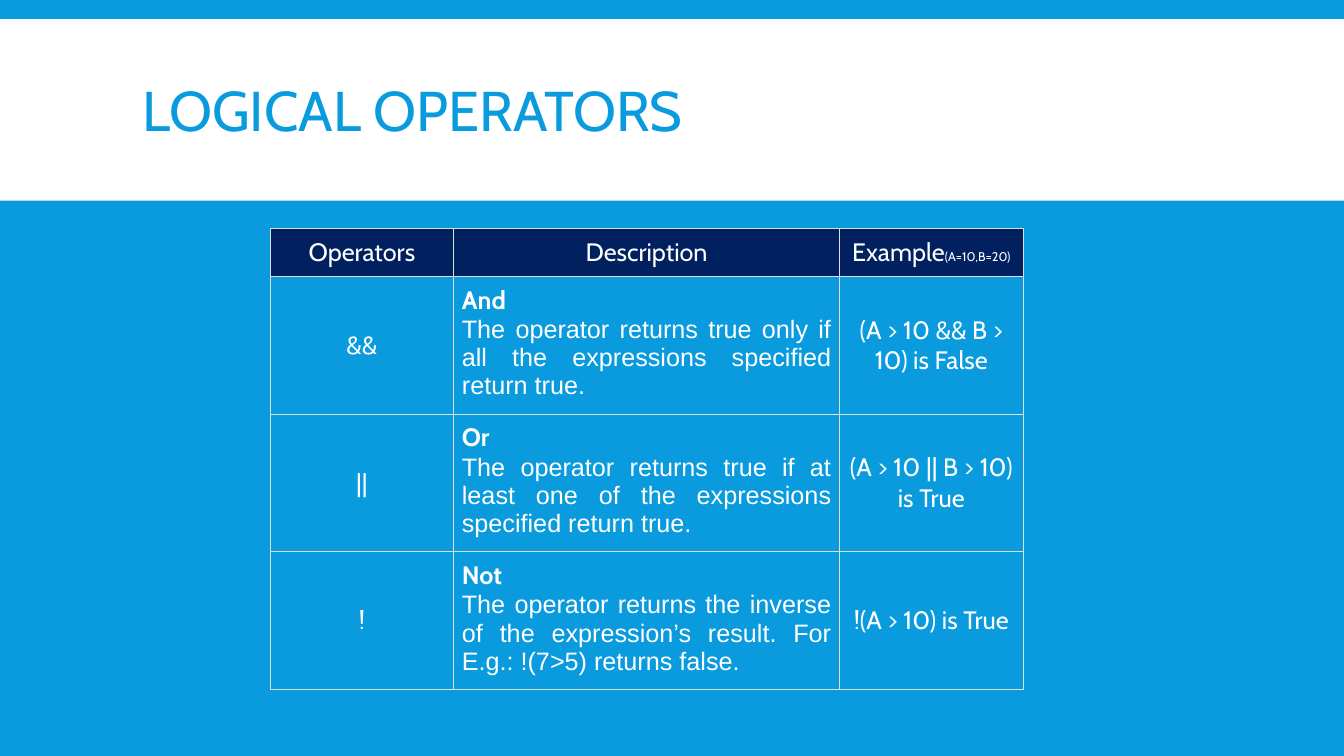
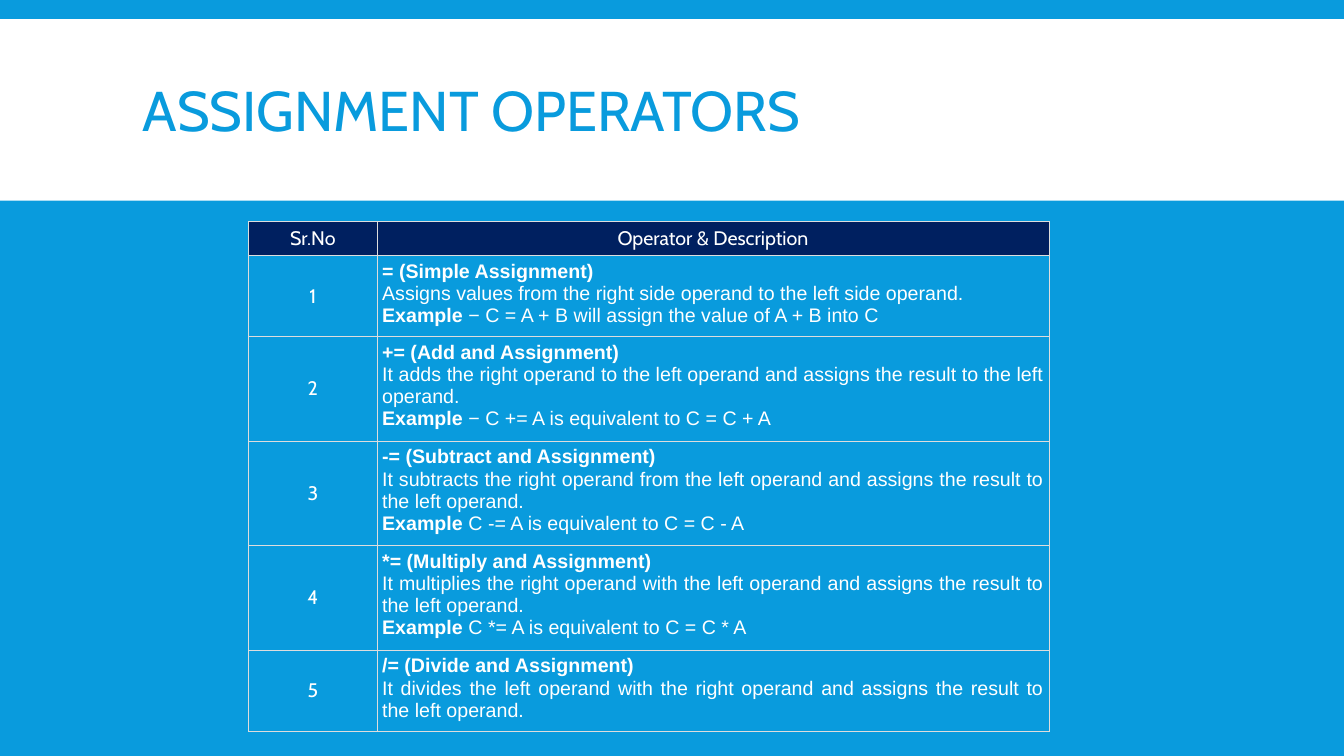
from dataclasses import dataclass
from typing import Any, Optional

from lxml.etree import SubElement
from pptx import Presentation
from pptx.dml.color import RGBColor
from pptx.enum.shapes import MSO_SHAPE
from pptx.enum.text import MSO_ANCHOR as Anchor, PP_ALIGN as Align
from pptx.oxml.ns import qn
from pptx.util import Cm, Pt

SKY, NAVY, WHITE, RULE = "099BDD", "002060", "FFFFFF", "DDDDDD"
CABIN, ARIAL = "Cabin", "Arial"
SLIDE_WIDTH, SLIDE_HEIGHT = 33.87, 19.05
BORDER_PT = 0.75


@dataclass(frozen=True)
class Words:
    """A stretch of text in one style; size falls back to the table's."""
    text: str
    font: str = CABIN
    bold: bool = False
    size: Optional[float] = None
    color: str = WHITE


@dataclass(frozen=True)
class Entry:
    """The content of one table cell, one tuple of words per paragraph."""
    paragraphs: tuple[tuple[Words, ...], ...]
    align: Any = Align.CENTER
    anchor: Any = Anchor.MIDDLE
    fill: Optional[str] = None


@dataclass(frozen=True)
class Grid:
    """A table's place and measures in cm, its text size and its rows."""
    left: float
    top: float
    widths: tuple[float, ...]
    heights: tuple[float, ...]
    inset: float
    size: float
    rows: list[list[Entry]]


def rgb(color: str) -> RGBColor:
    """Turn a hex string into a colour."""
    return RGBColor.from_string(color)


def assign(target: Any, values: dict[str, Any]) -> None:
    """Set every attribute named in values."""
    for name, value in values.items():
        setattr(target, name, value)


def paint(fill: Any, color: Optional[str]) -> None:
    """Make a fill solid, or empty when there is no colour."""
    if color is None:
        fill.background()
    else:
        fill.solid()
        fill.fore_color.rgb = rgb(color)


def write(paragraph: Any, words: Words, size: float) -> None:
    """Append styled words to a paragraph."""
    run = paragraph.add_run()
    run.text = words.text
    assign(run.font, {"name": words.font, "bold": words.bold,
                      "size": Pt(words.size or size)})
    run.font.color.rgb = rgb(words.color)


def heading(*words: Words) -> Entry:
    """Build a column heading."""
    return Entry((words,), anchor=Anchor.TOP, fill=NAVY)


def centred(text: str) -> Entry:
    """Build a short entry in the middle of its cell."""
    return Entry(((Words(text),),))


def explained(*paragraphs: tuple[Words, ...]) -> Entry:
    """Build a justified explanation."""
    return Entry(paragraphs, Align.JUSTIFY, Anchor.TOP)


def logical_row(operator: str, name: str, meaning: str, example: str) -> list[Entry]:
    """Build the row of one logical operator."""
    return [centred(operator),
            explained((Words(name, bold=True),), (Words(meaning, ARIAL),)),
            centred(example)]


def assignment_row(number: int, name: str, meaning: str, example: str = "") -> list[Entry]:
    """Build the row of one assignment operator, with its example if any."""
    lines = [(Words(name, ARIAL, True),), (Words(meaning, ARIAL),)]
    if example:
        lines.append((Words("Example", ARIAL, True),
                      Words("\u00a0" + example, ARIAL)))
    return [centred(str(number)), explained(*lines)]


def outline(cell: Any) -> None:
    """Rule all four sides of a cell."""
    properties = cell._tc.get_or_add_tcPr()
    for side in ("a:lnL", "a:lnR", "a:lnT", "a:lnB"):
        line = SubElement(properties, qn(side), w=str(int(Pt(BORDER_PT))))
        solid = SubElement(line, qn("a:solidFill"))
        SubElement(solid, qn("a:srgbClr"), val=RULE)


def fill_cell(cell: Any, entry: Entry, grid: Grid) -> None:
    """Format one cell and write its entry."""
    sides = ("margin_left", "margin_right", "margin_top", "margin_bottom")
    assign(cell, {side: Cm(grid.inset) for side in sides})
    cell.vertical_anchor = entry.anchor
    outline(cell)
    paint(cell.fill, entry.fill)
    frame = cell.text_frame
    for index, line in enumerate(entry.paragraphs):
        paragraph = frame.add_paragraph() if index else frame.paragraphs[0]
        paragraph.alignment = entry.align
        for words in line:
            write(paragraph, words, grid.size)


def draw_grid(slide: Any, grid: Grid) -> None:
    """Draw a table."""
    table = slide.shapes.add_table(
        len(grid.heights), len(grid.widths), Cm(grid.left), Cm(grid.top),
        Cm(sum(grid.widths)), Cm(sum(grid.heights))).table
    assign(table, {"first_row": False, "horz_banding": False})
    for column, width in zip(table.columns, grid.widths):
        column.width = Cm(width)
    for row, height, entries in zip(table.rows, grid.heights, grid.rows):
        row.height = Cm(height)
        for cell, entry in zip(row.cells, entries):
            fill_cell(cell, entry, grid)


def draw_title(slide: Any, title: str) -> None:
    """Draw the white band and the title on it."""
    band = slide.shapes.add_shape(MSO_SHAPE.RECTANGLE, Cm(0), Cm(0.48),
                                  Cm(SLIDE_WIDTH), Cm(4.58))
    band.shadow.inherit = False
    paint(band.fill, WHITE)
    band.line.fill.background()
    frame = slide.shapes.add_textbox(Cm(3.35), Cm(0.79), Cm(27.18), Cm(4.19)).text_frame
    assign(frame, {"word_wrap": True, "vertical_anchor": Anchor.MIDDLE})
    paragraph = frame.paragraphs[0]
    paragraph.line_spacing = 0.85
    write(paragraph, Words(title, color=SKY), 40)


LOGICAL = Grid(
    left=6.81, top=5.76, widths=(4.62, 9.73, 4.62), heights=(1.21,) + (3.33,) * 3,
    inset=0.21, size=18,
    rows=[
        [heading(Words("Operators")), heading(Words("Description")),
         heading(Words("Example"), Words("(A=10,B=20)", size=9))],
        logical_row("&&", "And",
                    "The operator returns true only if all the expressions "
                    "specified return true.",
                    "(A > 10 && B > 10) is False"),
        logical_row("||", "Or",
                    "The operator returns true if at least one of the "
                    "expressions specified return true.",
                    "(A > 10 || B > 10) is True"),
        logical_row("!", "Not",
                    "The operator returns the inverse of the expression’s "
                    "result. For E.g.: !(7>5) returns false.",
                    "!(A > 10) is True"),
    ])

ASSIGNMENT = Grid(
    left=6.27, top=5.58, widths=(3.23, 16.94),
    heights=(0.86, 1.88) + (2.46,) * 3 + (1.88,), inset=0.13, size=14,
    rows=[
        [heading(Words("Sr.No")), heading(Words("Operator & Description"))],
        assignment_row(1, "= (Simple Assignment)",
                       "Assigns values from the right side operand to the "
                       "left side operand.",
                       "− C = A + B will assign the value of A + B into C"),
        assignment_row(2, "+= (Add and Assignment)",
                       "It adds the right operand to the left operand and "
                       "assigns the result to the left operand.",
                       "− C += A is equivalent to C = C + A"),
        assignment_row(3, "-= (Subtract and Assignment)",
                       "It subtracts the right operand from the left operand "
                       "and assigns the result to the left operand.",
                       "C -= A is equivalent to C = C - A"),
        assignment_row(4, "*= (Multiply and Assignment)",
                       "It multiplies the right operand with the left operand "
                       "and assigns the result to the left operand.",
                       "C *= A is equivalent to C = C * A"),
        assignment_row(5, "/= (Divide and Assignment)",
                       "It divides the left operand with the right operand "
                       "and assigns the result to the left operand."),
    ])


def main() -> None:
    """Build and save the deck."""
    deck = Presentation()
    assign(deck, {"slide_width": Cm(SLIDE_WIDTH), "slide_height": Cm(SLIDE_HEIGHT)})
    paint(deck.slide_master.background.fill, SKY)
    blank = deck.slide_layouts[6]
    for title, grid in (("LOGICAL OPERATORS", LOGICAL),
                        ("ASSIGNMENT OPERATORS", ASSIGNMENT)):
        slide = deck.slides.add_slide(blank)
        draw_title(slide, title)
        draw_grid(slide, grid)
    deck.save("out.pptx")


main()
